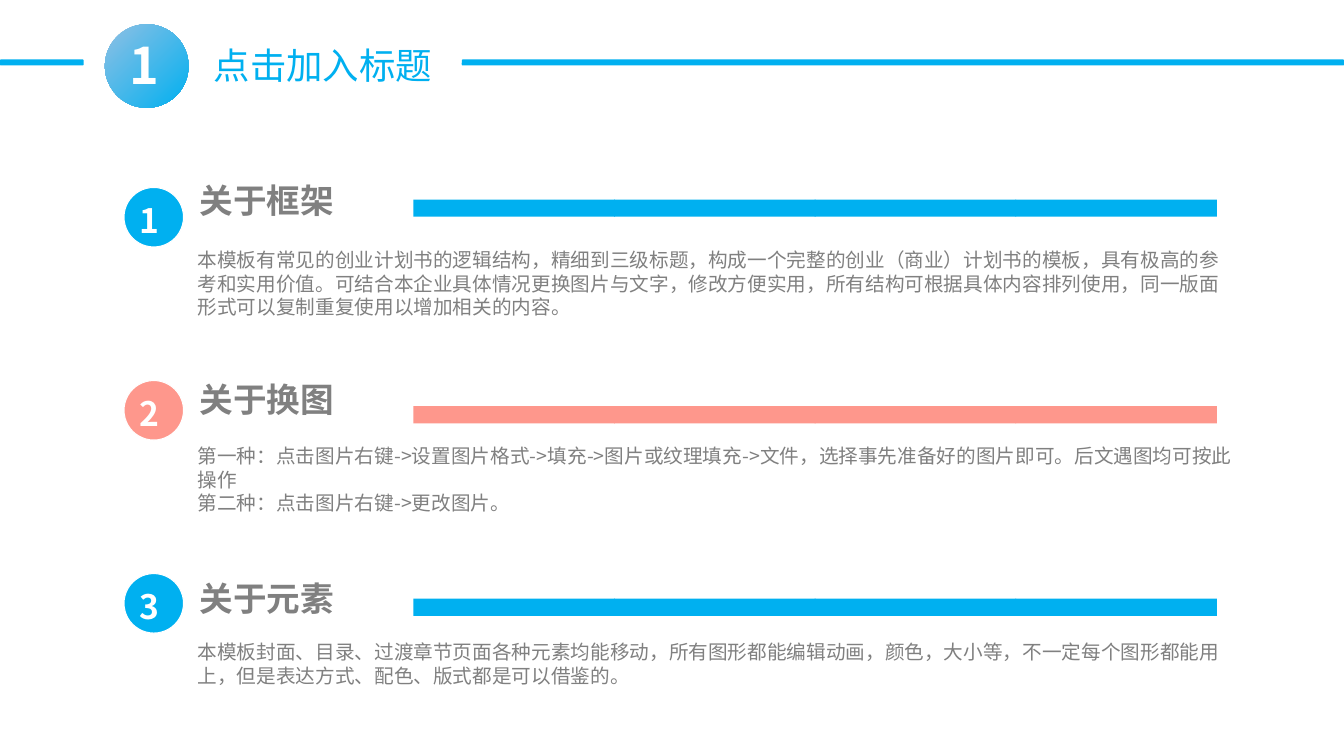
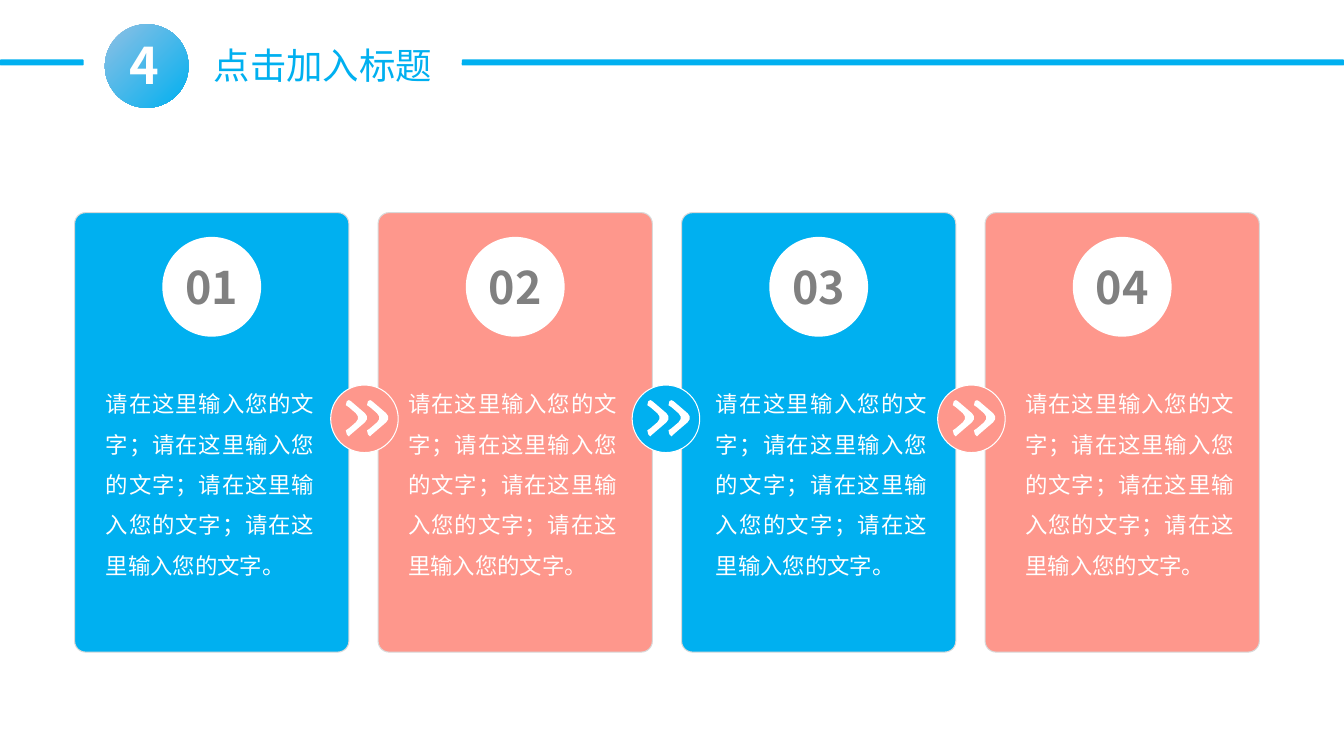
from dataclasses import dataclass

from lxml import etree
from pptx import Presentation
from pptx.dml.color import RGBColor
from pptx.enum.shapes import MSO_SHAPE
from pptx.enum.text import MSO_ANCHOR, MSO_AUTO_SIZE, PP_ALIGN
from pptx.oxml.ns import qn
from pptx.util import Inches, Pt

ELLIPSE = MSO_SHAPE.OVAL
RECTANGLE = MSO_SHAPE.RECTANGLE
ROUNDED = MSO_SHAPE.ROUNDED_RECTANGLE
LEFT, CENTER, JUSTIFY = PP_ALIGN.LEFT, PP_ALIGN.CENTER, PP_ALIGN.JUSTIFY
TOP, MIDDLE = MSO_ANCHOR.TOP, MSO_ANCHOR.MIDDLE
NO_AUTOFIT = MSO_AUTO_SIZE.NONE
TITLE_ONLY = 5


@dataclass(frozen=True)
class Theme:
    font: str = "Noto Sans CJK SC"
    blue: str = "00B0F0"
    coral: str = "FE978C"
    pale_blue: str = "90C0E4"
    gray: str = "808080"
    light_gray: str = "D9D9D9"
    white: str = "FFFFFF"
    badge_size: int = 36
    number_size: int = 32
    title_size: int = 26
    heading_size: int = 24
    card_size: int = 16
    body_size: int = 14
    line_height: float = 1.2
    card_line_height: float = 1.8

    def accent(self, index):
        return (self.blue, self.coral)[index % 2]


THEME = Theme()
TIGHT = (0.07, 0.04, 0.07, 0.04)
NO_INSETS = (0, 0, 0, 0)

SECTIONS = [
    ("关于框架", 1.98, [
        "本模板有常见的创业计划书的逻辑结构，精细到三级标题，构成一个完整的创业（商业）计划书的模板，"
        "具有极高的参考和实用价值。可结合本企业具体情况更换图片与文字，修改方便实用，"
        "所有结构可根据具体内容排列使用，同一版面形式可以复制重复使用以增加相关的内容。"]),
    ("关于换图", 4.03, [
        "第一种：点击图片右键->设置图片格式->填充->图片或纹理填充->文件，"
        "选择事先准备好的图片即可。后文遇图均可按此操作",
        "第二种：点击图片右键->更改图片。"]),
    ("关于元素", 5.94, [
        "本模板封面、目录、过渡章节页面各种元素均能移动，所有图形都能编辑动画，颜色，大小等，"
        "不一定每个图形都能用上，但是表达方式、配色、版式都是可以借鉴的。"]),
]
CARD_TEXT = "；".join(["请在这里输入您的文字"] * 4) + "。"
CARD_TEXT_SPANS = [(0.98, 2.21), (3.98, 2.21), (7.03, 2.24), (10.1, 2.21)]
ARROW_LEFTS = [3.28, 6.27, 9.3]
CHEVRON = [
    (0, 0.05), (0.01, 0.01), (0.03, 0), (0.05, 0.01), (0.12, 0.07),
    (0.19, 0.13), (0.21, 0.16), (0.21, 0.19), (0.19, 0.22), (0.12, 0.28),
    (0.05, 0.34), (0.03, 0.36), (0.01, 0.34), (0, 0.3), (0.03, 0.28),
    (0.1, 0.22), (0.12, 0.19), (0.12, 0.16), (0.1, 0.13), (0.03, 0.07),
]


class Deck:
    """Holds the presentation, its theme and the slide being drawn."""

    def __init__(self, theme):
        self.theme = theme
        self.presentation = Presentation()
        self.presentation.slide_width = Inches(13.33)
        self.presentation.slide_height = Inches(7.5)
        self.slide = None

    def start_slide(self, number, title):
        """Add a slide with the shared header band, badge and title."""
        theme = self.theme
        layout = self.presentation.slide_layouts[TITLE_ONLY]
        self.slide = self.presentation.slides.add_slide(layout)
        placeholder = self.slide.shapes.title
        box = dict(left=2.02, top=0.37, width=2.5, height=0.54)
        for name, value in box.items():
            setattr(placeholder, name, Inches(value))
        self.fill_text(placeholder, [title], theme.title_size, theme.blue,
                       anchor=MIDDLE, insets=(0.1, 0.05, 0.1, 0.05))
        for left, width in ((0, 0.83), (4.58, 8.75)):
            band = self.shape(ROUNDED, left, 0.59, width, 0.06, theme.blue)
            band.adjustments[0] = 0.17
        badge = self.shape(ELLIPSE, 1.04, 0.24, 0.83, 0.83, theme.blue)
        badge.fill.gradient()
        badge.fill.gradient_angle = 315
        for stop, color in zip(badge.fill.gradient_stops,
                               (theme.pale_blue, theme.blue)):
            stop.color.rgb = RGBColor.from_string(color)
        self.fill_text(badge, [number], theme.badge_size, theme.white,
                       bold=True, align=CENTER, anchor=MIDDLE,
                       insets=(0, 0, 0.04, 0.04))

    def paint(self, shape, fill, line=None, line_width=0.75):
        shape.shadow.inherit = False
        shape.fill.solid()
        shape.fill.fore_color.rgb = RGBColor.from_string(fill)
        if line:
            shape.line.color.rgb = RGBColor.from_string(line)
            shape.line.width = Pt(line_width)
        else:
            shape.line.fill.background()
        return shape

    def shape(self, kind, left, top, width, height, fill, **outline):
        shape = self.slide.shapes.add_shape(
            kind, Inches(left), Inches(top), Inches(width), Inches(height))
        return self.paint(shape, fill, **outline)

    def polygon(self, left, top, points, fill):
        corners = [(Inches(left + x), Inches(top + y)) for x, y in points]
        builder = self.slide.shapes.build_freeform(*corners[0])
        builder.add_line_segments(corners[1:], close=True)
        return self.paint(builder.convert_to_shape(), fill)

    def text(self, left, top, width, height, lines, size, color, **style):
        box = self.slide.shapes.add_textbox(
            Inches(left), Inches(top), Inches(width), Inches(height))
        self.fill_text(box, lines, size, color, **style)

    def fill_text(self, shape, lines, size, color, bold=False, align=LEFT,
                  anchor=TOP, insets=TIGHT, line_height=None):
        """Fill a shape with one paragraph a line, all in one style."""
        frame = shape.text_frame
        frame_format = dict(auto_size=NO_AUTOFIT, word_wrap=True,
                            vertical_anchor=anchor)
        sides = ("margin_left", "margin_top", "margin_right", "margin_bottom")
        frame_format.update(zip(sides, map(Inches, insets)))
        for name, value in frame_format.items():
            setattr(frame, name, value)
        spacing = Pt(size * (line_height or self.theme.line_height))
        font_format = dict(size=Pt(size), bold=bold, name=self.theme.font)
        for index, line in enumerate(lines):
            paragraph = frame.add_paragraph() if index else frame.paragraphs[0]
            paragraph.alignment = align
            paragraph.line_spacing = spacing
            run = paragraph.add_run()
            run.text = line
            for name, value in font_format.items():
                setattr(run.font, name, value)
            run.font.color.rgb = RGBColor.from_string(color)
            east_asian = etree.SubElement(run._r.get_or_add_rPr(), qn("a:ea"))
            east_asian.set("typeface", self.theme.font)

    def section(self, index, heading, bar_top, lines):
        """Draw a numbered heading with its bar and body text."""
        theme = self.theme
        accent = theme.accent(index)
        self.text(1.91, 1.74 + 1.975 * index, 2.1, 0.48, [heading],
                  theme.heading_size, theme.gray, bold=True)
        self.text(1.89, 2.42 + 1.945 * index, 10.45, 0.78, lines,
                  theme.body_size, theme.gray)
        circle = self.shape(ELLIPSE, 1.23, 1.86 + 1.915 * index, 0.59, 0.59,
                            accent, line=theme.white)
        self.fill_text(circle, [str(index + 1)], theme.heading_size,
                       theme.white, bold=True)
        for segment in range(4):
            self.shape(RECTANGLE, 4.1 + 1.99 * segment, bar_top, 2, 0.17, accent)

    def card(self, index, text_left, text_width):
        theme = self.theme
        left = 0.74 + 3.01 * index
        card = self.shape(ROUNDED, left, 2.11, 2.72, 4.36, theme.accent(index),
                          line=theme.light_gray, line_width=0)
        card.adjustments[0] = 0.04
        circle = self.shape(ELLIPSE, left + 0.87, 2.35, 0.98, 0.99, theme.white)
        self.fill_text(circle, [f"{index + 1:02}"], theme.number_size,
                       theme.gray, bold=True, align=CENTER, anchor=MIDDLE,
                       insets=NO_INSETS)
        self.text(text_left, 3.7, text_width, 2.05, [CARD_TEXT],
                  theme.card_size, theme.white, align=JUSTIFY,
                  line_height=theme.card_line_height)

    def arrow(self, index, left):
        """Draw the round double-chevron mark between two cards."""
        theme = self.theme
        self.shape(ELLIPSE, left, 3.82, 0.67, 0.67, theme.accent(index + 1),
                   line=theme.white)
        for offset in (0.15, 0.36):
            self.polygon(left + offset, 3.97, CHEVRON, theme.white)


def main():
    deck = Deck(THEME)
    deck.start_slide("1", "点击加入标题")
    for index, section in enumerate(SECTIONS):
        deck.section(index, *section)

    deck.start_slide("4", "点击加入标题")
    for index, span in enumerate(CARD_TEXT_SPANS):
        deck.card(index, *span)
    for index, left in enumerate(ARROW_LEFTS):
        deck.arrow(index, left)
    deck.presentation.save("out.pptx")


if __name__ == "__main__":
    main()
